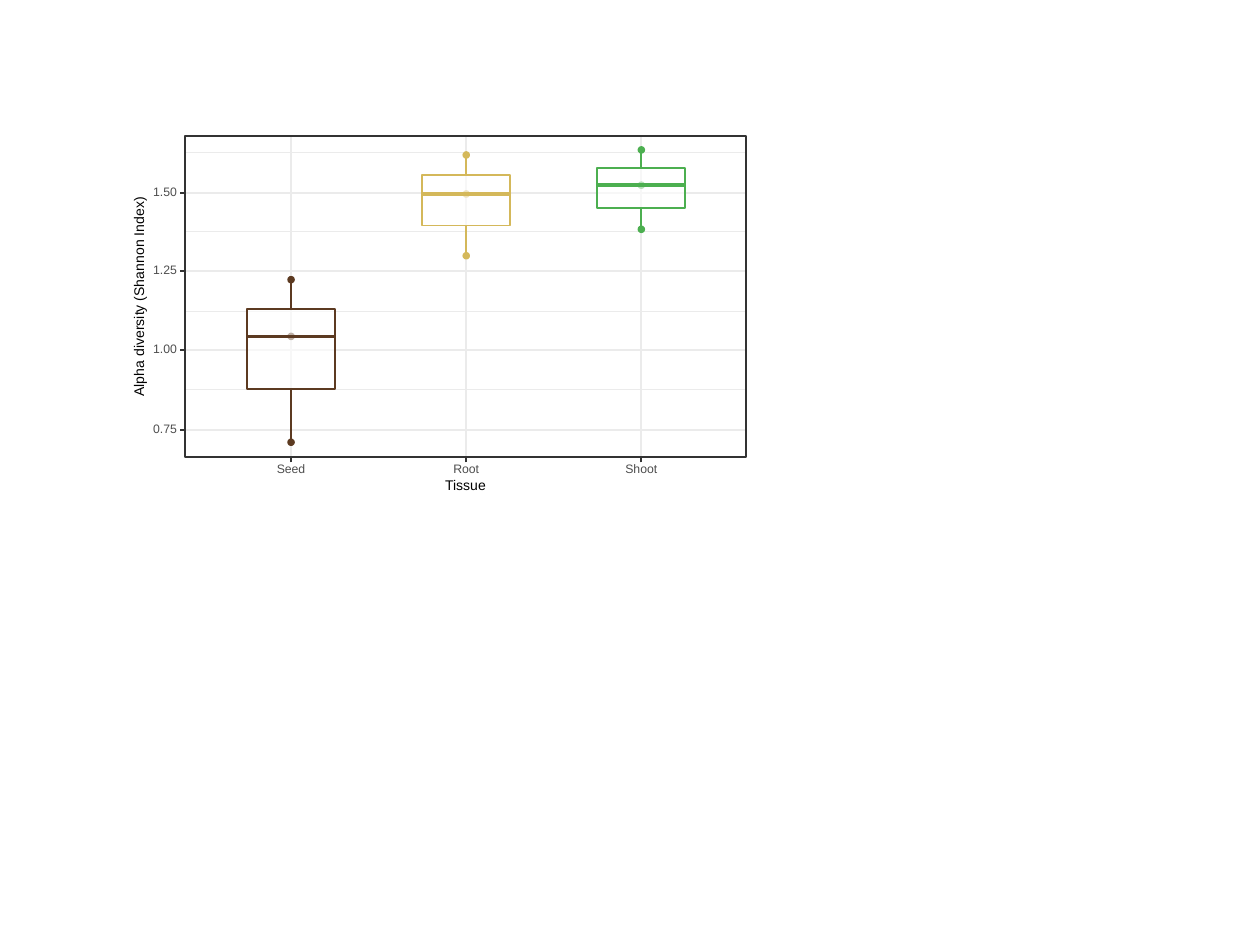
from lxml.etree import SubElement
from pptx import Presentation
from pptx.dml.color import RGBColor
from pptx.enum.shapes import MSO_CONNECTOR, MSO_SHAPE
from pptx.enum.text import MSO_ANCHOR, PP_ALIGN
from pptx.oxml.ns import qn
from pptx.util import Inches, Pt

COLORS = {"white": "FFFFFF", "grid": "EBEBEB", "axis": "333333",
          "tick": "4D4D4D", "title": "000000",
          "seed": "5C3A21", "root": "D4B85A", "shoot": "4CAF50"}
THIN, NORMAL, THICK = 0.53, 1.07, 2.13
LEFT, TOP, RIGHT, BOTTOM = 1.47, 1.08, 5.92, 3.63
TICK, DOT, BOX_W = 0.04, 0.05, 0.7

prs = Presentation()
prs.slide_width, prs.slide_height = Inches(10), Inches(7.5)
slide = prs.slides.add_slide(prs.slide_layouts[6])
plot = slide.shapes.add_group_shape().shapes


def draw(x1, y1, x2, y2, color, width, kind=None, fill=None):
    """Draw a line between two corners, or a preset shape spanning them."""
    if kind is None:
        sp = plot.add_connector(MSO_CONNECTOR.STRAIGHT, Inches(x1), Inches(y1),
                                Inches(x2), Inches(y2))
        SubElement(sp._element.spPr, qn("a:effectLst"))
    else:
        sp = plot.add_shape(kind, Inches(x1), Inches(y1),
                            Inches(x2 - x1), Inches(y2 - y1))
        sp.shadow.inherit = False
        if fill:
            sp.fill.solid()
            sp.fill.fore_color.rgb = RGBColor.from_string(COLORS[fill])
        else:
            sp.fill.background()
    sp.line.color.rgb = RGBColor.from_string(COLORS[color])
    sp.line.width = Pt(width)
    return sp


def add_label(text, cx, cy, w, size, color, rotation=0):
    """Add one line of text centred on a point."""
    h = size / 80
    sp = plot.add_textbox(Inches(cx - w / 2), Inches(cy - h / 2), Inches(w), Inches(h))
    sp.rotation = rotation
    tf = sp.text_frame
    tf.margin_left = tf.margin_right = tf.margin_top = tf.margin_bottom = 0
    tf.word_wrap = False
    tf.vertical_anchor = MSO_ANCHOR.MIDDLE
    p = tf.paragraphs[0]
    p.alignment = PP_ALIGN.CENTER
    p.line_spacing = Pt(size)
    r = p.add_run()
    r.text = text
    r.font.size = Pt(size)
    r.font.name = "Arial"
    r.font.color.rgb = RGBColor.from_string(COLORS[color])


# Tissue: centre x, heights of max, Q3, median, Q1 and min
tissues = {
    "Seed": (2.31, (2.22, 2.45, 2.67, 3.09, 3.51)),
    "Root": (3.7, (1.23, 1.39, 1.54, 1.79, 2.03)),
    "Shoot": (5.09, (1.19, 1.33, 1.47, 1.65, 1.82)),
}
y_ticks = {"0.75": 3.41, "1.00": 2.78, "1.25": 2.15, "1.50": 1.53}

# Background and grid
draw(1, 1, 6, 4, "white", NORMAL, MSO_SHAPE.RECTANGLE, "white")
for y in (3.09, 2.47, 1.84, 1.21):
    draw(LEFT, y, RIGHT, y, "grid", THIN)
for y in y_ticks.values():
    draw(LEFT, y, RIGHT, y, "grid", NORMAL)
for x, _ in tissues.values():
    draw(x, BOTTOM, x, TOP, "grid", NORMAL)

# Box plots, with the sample dots behind the boxes
for name, (x, (top, q3, median, q1, low)) in tissues.items():
    color = name.lower()
    for y in (low, median, top):
        draw(x - DOT / 2, y - DOT / 2, x + DOT / 2, y + DOT / 2,
             color, 0.71, MSO_SHAPE.OVAL, color)
    draw(x, q3, x, top, color, NORMAL)
    draw(x, q1, x, low, color, NORMAL)
    x1, x2 = x - BOX_W / 2, x + BOX_W / 2
    box = draw(x1, q3, x2, q1, color, NORMAL, MSO_SHAPE.RECTANGLE, "white")
    fill_color = box._element.spPr.find(qn("a:solidFill"))[0]
    SubElement(fill_color, qn("a:alpha"), val="60000")
    draw(x1, median, x2, median, color, THICK)

# Frame, ticks and labels, with boxes a little wider than their text
draw(LEFT, TOP, RIGHT, BOTTOM, "axis", NORMAL, MSO_SHAPE.RECTANGLE)
for name, (x, _) in tissues.items():
    draw(x, BOTTOM + TICK, x, BOTTOM, "axis", NORMAL)
    add_label(name, x, 3.73, 0.3, 7, "tick")
for text, y in y_ticks.items():
    draw(LEFT - TICK, y, LEFT, y, "axis", NORMAL)
    add_label(text, 1.31, y, 0.22, 7, "tick")
add_label("Tissue", (LEFT + RIGHT) / 2, 3.86, 0.36, 8, "title")
add_label("Alpha diversity (Shannon Index)", 1.11, (TOP + BOTTOM) / 2, 1.7, 8,
          "title", 270)

prs.save("out.pptx")
